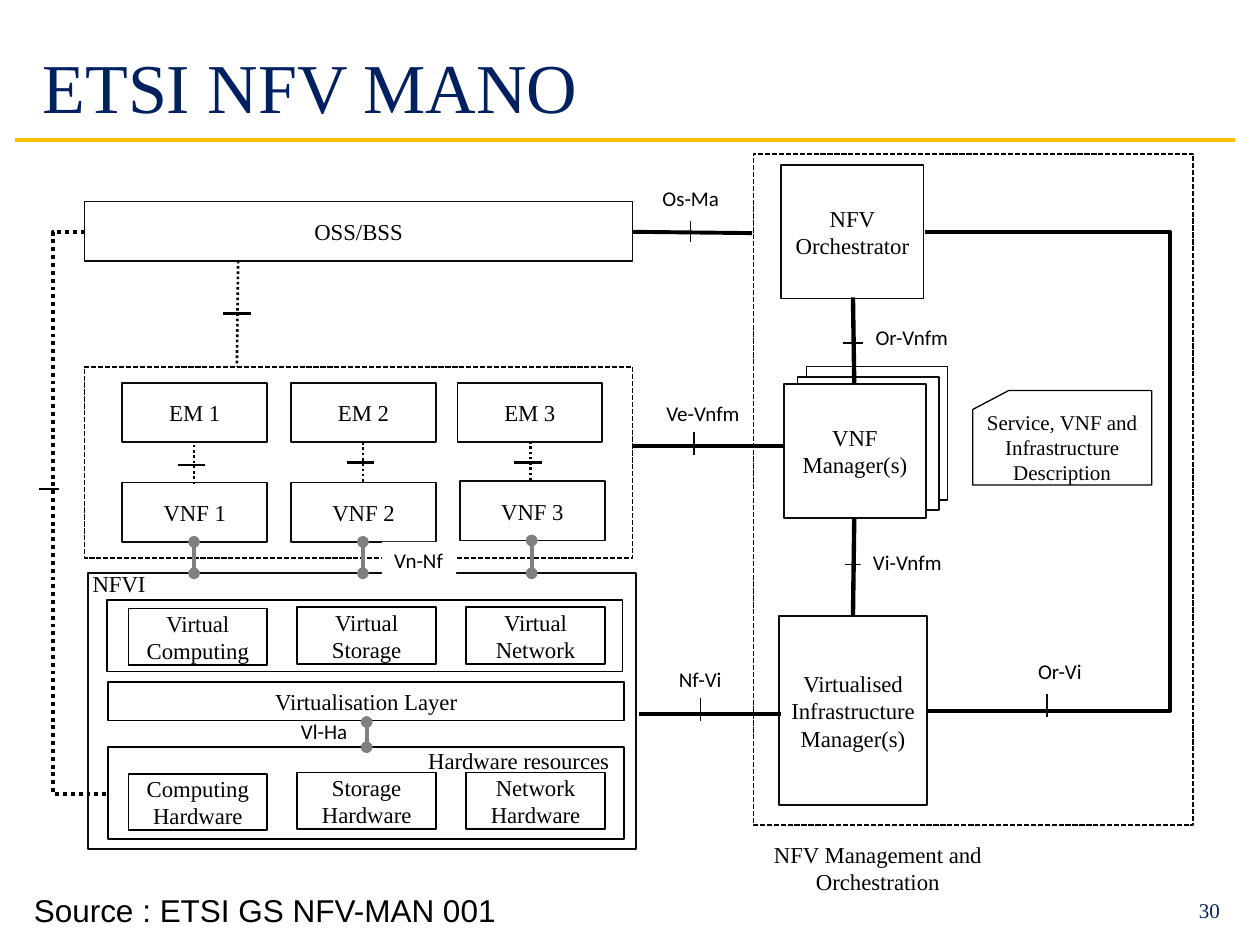
from lxml.etree import SubElement
from pptx import Presentation
from pptx.dml.color import RGBColor
from pptx.enum.dml import MSO_LINE
from pptx.enum.shapes import MSO_CONNECTOR, MSO_SHAPE
from pptx.enum.text import MSO_ANCHOR, PP_ALIGN
from pptx.oxml.ns import qn
from pptx.util import Pt

PX = 9144
HUE = {"ink": "000000", "edge": "0D0D0D", "navy": "002060",
       "gold": "FFC000", "gray": "808080", "white": "FFFFFF"}
SERIF, SANS, PLAIN = "Times New Roman", "Calibri", "Arial"
DASH, DOT = MSO_LINE.SQUARE_DOT, MSO_LINE.ROUND_DOT
LEFT, MID, RIGHT = PP_ALIGN.LEFT, PP_ALIGN.CENTER, PP_ALIGN.RIGHT

CARDS = [(640, 291, 112, 106), (633, 299, 112, 106)]
BOXES = [
    ("", 86, 593, 409, 73, "ink"),
    ("Virtualisation Layer", 86, 541, 409, 31, "ink"),
    ("", 85, 476, 409, 57, "ink"),
    ("", 70, 455, 435, 219, "edge"),
    ("OSS/BSS", 67, 160, 435, 47, "edge"),
    ("NFV\nOrchestrator", 620, 131, 113, 106, "edge"),
]
SOLID = [
    ("VNF\nManager(s)", 622, 305, 113, 106, "edge"),
    ("Virtualised\nInfrastructure\nManager(s)", 618, 489, 118, 150, "edge"),
]
ZONES = [(598, 122, 349, 533), (67, 291, 435, 152)]
ROWS = [
    (["EM 1", "EM 2", "EM 3"], [97, 231, 363], [304, 304, 304], 115, 47, "edge"),
    (["VNF 1", "VNF 2", "VNF 3"], [97, 231, 365], [383, 383, 382], 115, 47, "edge"),
    (["Virtual Computing", "Virtual Storage", "Virtual Network"],
     [102, 236, 370], [483, 482, 482], 110, 45, "ink"),
    (["Computing\nHardware", "Storage\nHardware", "Network\nHardware"],
     [102, 236, 370], [614, 613, 613], 110, 45, "ink"),
]
LINES = [
    (677, 236, 678, 305, 2.5), (678, 411, 677, 489, 2.5),
    (507, 567, 620, 567, 2.25), (622, 354, 502, 354, 2.25),
    (502, 184, 597, 185, 2.25),
]
DOTS = [(189, 207, 188, 291), (154, 353, 154, 384),
        (288, 351, 288, 383), (421, 350, 421, 382)]
BALLS = [(154, 430, 154, 455), (288, 430, 288, 455),
         (422, 429, 422, 455), (291, 593, 291, 573)]
BENDS = [(734, 184, 736, 564, 928, None), (67, 184, 86, 630, 42, DOT)]
FLAT = [(671, 448, 16, 1), (669, 272, 16, 1), (31, 388, 16, 1),
        (177, 249, 22, 1.5), (275, 367, 22, 1.5),
        (408, 367, 22, 1.5), (141, 369, 22, 1.5)]
TALL = [(556, 554, 18), (548, 175, 17), (551, 343, 18), (831, 551, 18)]
TAGS = [
    ("Or-Vi", 814, 518, 56, True), ("Or-Vnfm", 685, 253, 79, True),
    ("Vi-Vnfm", 683, 431, 75, True), ("Os-Ma", 516, 142, 66, True),
    ("Ve-Vnfm", 519, 313, 79, False), ("Nf-Vi", 529, 524, 55, True),
    ("Vn-Nf", 303, 430, 59, True), ("Vl-Ha", 229, 565, 57, False),
]
NOTES = [
    ("Hardware resources", 329, 588, 165, 32, 13, SERIF, "ink", MID, False),
    ("NFVI", 63, 447, 63, 32, 13, SERIF, "ink", MID, False),
    ("NFV Management and Orchestration", 589, 662, 215, 54, 13, SERIF, "ink", MID, True),
    ("Source : ETSI GS NFV-MAN 001", 17, 702, 390, 40, 18, PLAIN, "ink", LEFT, False),
]

deck = Presentation()
deck.slide_width, deck.slide_height = 1000 * PX, 750 * PX
slide = deck.slides.add_slide(deck.slide_layouts[6])
shapes = slide.shapes


def scale(*nums):
    return [n * PX for n in nums]


def tint(name):
    return RGBColor.from_string(HUE[name])


def write(shape, text, size, font, hue="ink", align=MID, wrap=True, anchor=MSO_ANCHOR.MIDDLE):
    frame = shape.text_frame
    frame.text = text
    frame.word_wrap = wrap
    frame.vertical_anchor = anchor
    for para in frame.paragraphs:
        para.alignment = align
        for run in para.runs:
            run.font.size, run.font.name = Pt(size), font
            run.font.color.rgb = tint(hue)
    return frame


def box(text, x, y, w, h, edge, fill=None, dash=None, kind=MSO_SHAPE.RECTANGLE, width=1, size=13):
    shape = shapes.add_shape(kind, *scale(x, y, w, h))
    shape.shadow.inherit = False
    if fill:
        shape.fill.solid()
        shape.fill.fore_color.rgb = tint(fill)
    else:
        shape.fill.background()
    if edge:
        shape.line.color.rgb = tint(edge)
        shape.line.width = Pt(width)
        if dash:
            shape.line.dash_style = dash
    else:
        shape.line.fill.background()
    if text:
        write(shape, text, size, SERIF)
    return shape


def note(text, x, y, w, h, size, font, hue, align, wrap, anchor=MSO_ANCHOR.TOP):
    shape = shapes.add_textbox(*scale(x, y, w, h))
    return write(shape, text, size, font, hue, align, wrap, anchor)


def link(x1, y1, x2, y2, width, hue="ink", dash=None, ends=None, bend=None):
    kind = MSO_CONNECTOR.STRAIGHT if bend is None else MSO_CONNECTOR.ELBOW
    line = shapes.add_connector(kind, *scale(x1, y1, x2, y2))
    line.line.color.rgb = tint(hue)
    line.line.width = Pt(width)
    if dash:
        line.line.dash_style = dash
    prop = line._element.spPr
    SubElement(prop, qn("a:effectLst"))
    if ends:
        for tag in ("a:headEnd", "a:tailEnd"):
            SubElement(prop.find(qn("a:ln")), qn(tag), type=ends)
    if bend is not None:
        ratio = round((bend - x1) / (x2 - x1) * 100000)
        guides = prop.find(qn("a:prstGeom")).find(qn("a:avLst"))
        SubElement(guides, qn("a:gd"), name="adj1", fmla=f"val {ratio}")


link(12, 111, 980, 111, 2.25, "gold")
head = note("ETSI NFV MANO", 24, 28, 819, 73, 40, SERIF, "navy", LEFT, True, MSO_ANCHOR.BOTTOM)
head.margin_top = head.margin_bottom = 0
note("30", 867, 710, 111, 27, 12, SERIF, "navy", RIGHT, True, MSO_ANCHOR.BOTTOM)

for card in CARDS:
    box("", *card, "edge", "white")
for item in SOLID:
    frame = box(*item, "white").text_frame
    frame.margin_left = frame.margin_right = 4 * PX
for item in BOXES:
    box(*item)
for names, lefts, tops, w, h, edge in ROWS:
    for name, x, y in zip(names, lefts, tops):
        box(name, x, y, w, h, edge)
for zone in ZONES:
    box("", *zone, "ink", dash=DASH)
box("Service, VNF and Infrastructure Description", 772, 310, 142, 75, "ink", "white",
    kind=MSO_SHAPE.FLOWCHART_CARD, width=0.75, size=12)

for item in LINES:
    link(*item)
for item in DOTS:
    link(*item, 1.5, dash=DOT)
for item in BALLS:
    link(*item, 2.25, "gray", ends="oval")
for *ends, bend, dash in BENDS:
    link(*ends, 2.25, dash=dash, bend=bend)
for x, y, w, width in FLAT:
    link(x, y, x + w, y, width)
for text, x, y, w, solid in TAGS:
    shape = box("", x, y, w, 30, None, "white" if solid else None)
    write(shape, text, 12, SANS, align=LEFT, wrap=False, anchor=MSO_ANCHOR.TOP)
for x, y, h in TALL:
    link(x, y, x, y + h, 1, "edge")
for item in NOTES:
    note(*item)

deck.save("out.pptx")
